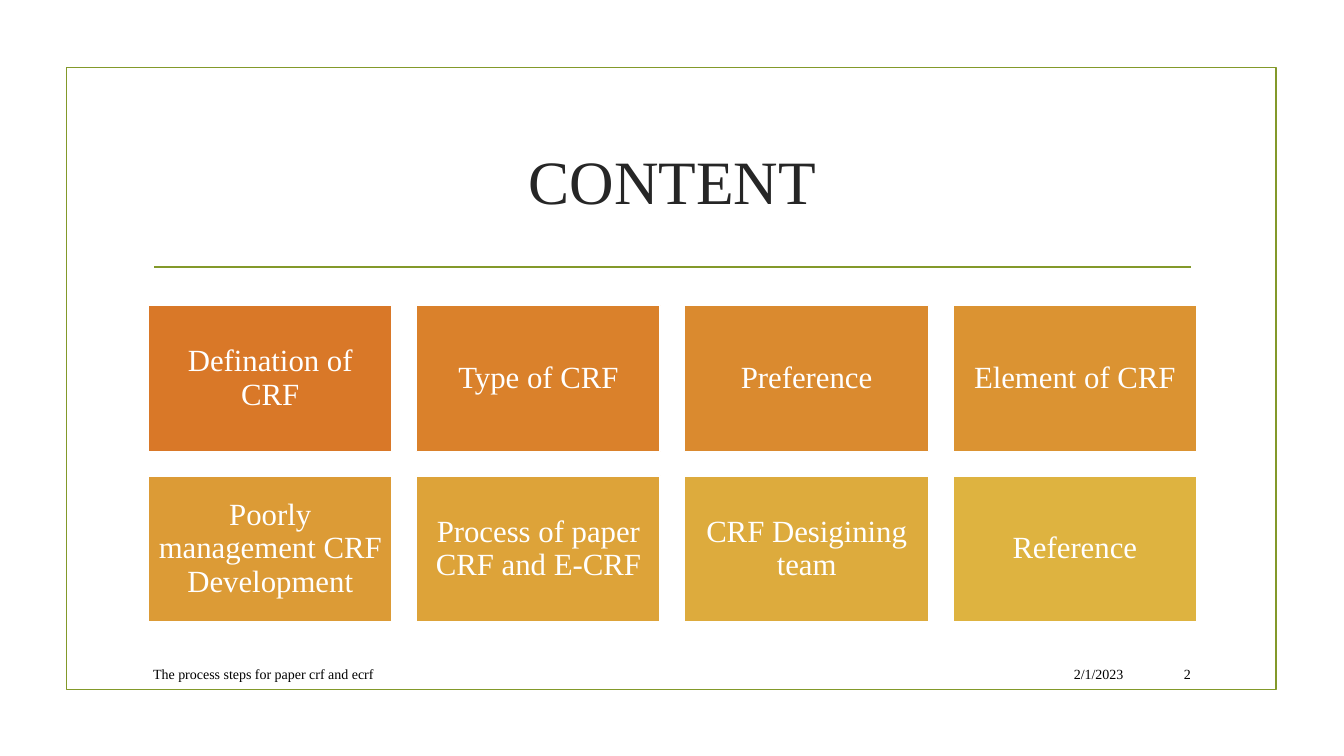
from pptx import Presentation
from pptx.dml.color import RGBColor
from pptx.enum.shapes import MSO_CONNECTOR, MSO_SHAPE
from pptx.enum.text import MSO_ANCHOR, PP_ALIGN
from pptx.oxml.ns import qn
from pptx.util import Inches, Pt

RECTANGLE = MSO_SHAPE.RECTANGLE
STRAIGHT = MSO_CONNECTOR.STRAIGHT
MIDDLE = MSO_ANCHOR.MIDDLE
LEFT, CENTER, RIGHT = PP_ALIGN.LEFT, PP_ALIGN.CENTER, PP_ALIGN.RIGHT

FONT = "Times New Roman"
TITLE_ONLY = 5
GREEN = RGBColor(0x83, 0x99, 0x2A)
DARK = RGBColor(0x26, 0x26, 0x26)
BLACK = RGBColor(0x00, 0x00, 0x00)
WHITE = RGBColor(0xFF, 0xFF, 0xFF)

TOPICS = [
    ("Defination of CRF", RGBColor(0xD9, 0x78, 0x28)),
    ("Type of CRF", RGBColor(0xDA, 0x81, 0x2B)),
    ("Preference", RGBColor(0xDA, 0x8A, 0x2F)),
    ("Element of CRF", RGBColor(0xDB, 0x93, 0x32)),
    ("Poorly management CRF Development", RGBColor(0xDC, 0x9B, 0x36)),
    ("Process of paper CRF and E-CRF", RGBColor(0xDD, 0xA3, 0x39)),
    ("CRF Desigining team", RGBColor(0xDD, 0xAB, 0x3D)),
    ("Reference", RGBColor(0xDE, 0xB3, 0x40)),
]


def write(frame, text, size, color, align):
    frame.word_wrap = True
    frame.vertical_anchor = MIDDLE
    paragraph = frame.paragraphs[0]
    paragraph.alignment = align
    run = paragraph.add_run()
    run.text = text
    run.font.name = FONT
    run.font.size = Pt(size)
    run.font.color.rgb = color
    return paragraph


def add_frame(slide, left, top, width, height):
    """Draw the green border and the rule under the title area."""
    border = slide.shapes.add_shape(
        RECTANGLE, Inches(left), Inches(top), Inches(width), Inches(height))
    border.shadow.inherit = False
    border.fill.background()
    rule_y = Inches(top + 1.98)
    rule = slide.shapes.add_connector(
        STRAIGHT, Inches(left + 0.87), rule_y, Inches(left + width - 0.85), rule_y)
    properties = rule.line._get_or_add_ln().getparent()
    properties.append(properties.makeelement(qn("a:effectLst"), {}))
    for outline in (border.line, rule.line):
        outline.color.rgb = GREEN
        outline.width = Pt(1.25)


def add_title(slide, left, top, width, height):
    title = slide.shapes.title
    title.left, title.top = Inches(left), Inches(top)
    title.width, title.height = Inches(width), Inches(height)
    write(title.text_frame, "CONTENT", 44, DARK, CENTER)


def add_topic_grid(slide, left, top, width, height, columns=4, rows=2, gap=0.24):
    tile_width = (width - gap * (columns - 1)) / columns
    tile_height = (height - gap * (rows - 1)) / rows
    for index, (topic, color) in enumerate(TOPICS):
        row, column = divmod(index, columns)
        tile = slide.shapes.add_shape(
            RECTANGLE,
            Inches(left + column * (tile_width + gap)),
            Inches(top + row * (tile_height + gap)),
            Inches(tile_width), Inches(tile_height))
        tile.shadow.inherit = False
        tile.fill.solid()
        tile.fill.fore_color.rgb = color
        tile.line.color.rgb = WHITE
        tile.line.width = Pt(1.25)
        frame = tile.text_frame
        frame.margin_left = frame.margin_right = Inches(0.09)
        frame.margin_top = frame.margin_bottom = Inches(0.09)
        write(frame, topic, 22, WHITE, CENTER).line_spacing = 0.9


def add_footer(slide, left, top, width, height):
    """Place the footer text at the left, the date and slide number at the right."""
    right = left + width
    fields = [
        ("The process steps for paper crf and ecrf", left, 7.99, LEFT),
        ("2/1/2023", right - 2.42, 1.75, RIGHT),
        ("2", right - 0.59, 0.59, RIGHT),
    ]
    for text, field_left, field_width, align in fields:
        field = slide.shapes.add_textbox(
            Inches(field_left), Inches(top), Inches(field_width), Inches(height))
        write(field.text_frame, text, 10, BLACK, align)


def main():
    deck = Presentation()
    deck.slide_width, deck.slide_height = Inches(13.33), Inches(7.5)
    slide = deck.slides.add_slide(deck.slide_layouts[TITLE_ONLY])
    add_frame(slide, 0.66, 0.67, 12, 6.17)
    add_title(slide, 1.42, 1.07, 10.5, 1.43)
    add_topic_grid(slide, 1.47, 3.03, 10.4, 3.14)
    add_footer(slide, 1.42, 6.53, 10.49, 0.31)
    deck.save("out.pptx")


if __name__ == "__main__":
    main()
